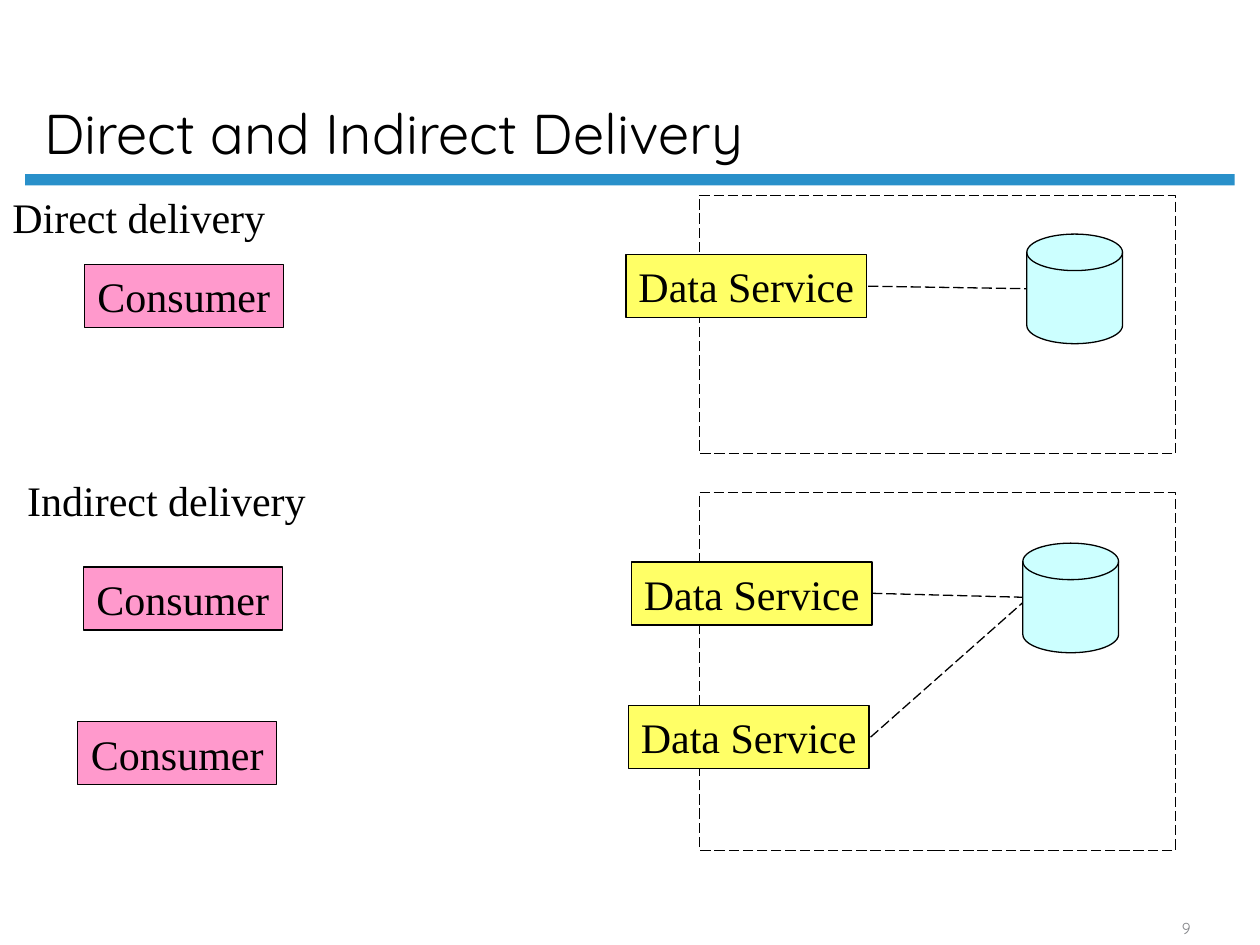
"""Build the slide that compares direct and indirect delivery."""
import pptx
import pptx.dml.color
import pptx.enum.dml
import pptx.enum.shapes
import pptx.enum.text
import pptx.oxml.ns
import pptx.util
from lxml import etree

Cm = pptx.util.Cm
Pt = pptx.util.Pt
MSO = pptx.enum.shapes.MSO_SHAPE
DASH = pptx.enum.dml.MSO_LINE.LONG_DASH
ANCHOR = pptx.enum.text.MSO_ANCHOR
ALIGN = pptx.enum.text.PP_ALIGN


def rgb(value):
    return pptx.dml.color.RGBColor.from_string(value)


def write(sp, text, font="Times New Roman", size=24, color="000000",
          align=ALIGN.LEFT, anchor=ANCHOR.TOP, wrap=False, spacing=None):
    tf = sp.text_frame
    tf.word_wrap = wrap
    tf.vertical_anchor = anchor
    p = tf.paragraphs[0]
    p.alignment = align
    p.line_spacing = spacing
    r = p.add_run()
    r.text = text
    r.font.name = font
    r.font.size = Pt(size)
    r.font.color.rgb = rgb(color)


prs = pptx.Presentation()
prs.slide_width = Cm(25.4)
prs.slide_height = Cm(19.05)
s = prs.slides.add_slide(prs.slide_layouts[6])

bar = s.shapes.add_shape(MSO.RECTANGLE, Cm(0.51), Cm(3.51), Cm(24.38), Cm(0.23))
bar.shadow.inherit = False
bar.fill.solid()
bar.fill.fore_color.rgb = rgb("2990CA")
bar.line.fill.background()

title = s.shapes.add_textbox(Cm(0.64), Cm(0.3), Cm(21.74), Cm(3.18))
write(title, "Direct and Indirect Delivery", font="Quicksand", size=32,
      anchor=ANCHOR.BOTTOM, wrap=True, spacing=0.9)

for top, height in ((9.93, 7.21), (3.94, 5.21)):
    sp = s.shapes.add_shape(MSO.RECTANGLE, Cm(14.1), Cm(top), Cm(9.6), Cm(height))
    sp.shadow.inherit = False
    sp.fill.background()
    sp.line.color.rgb = rgb("000000")
    sp.line.width = Pt(0.75)
    sp.line.dash_style = DASH

for text, x, y, width in (("Direct delivery", 0, 3.73, 5.61),
                          ("Indirect delivery", 0.3, 9.45, 6.12)):
    write(s.shapes.add_textbox(Cm(x), Cm(y), Cm(width), Cm(1.27)), text)

for x1, y1, x2, y2 in ((17.5, 5.77, 20.7, 5.82),
                       (17.58, 11.96, 20.62, 12.04),
                       (17.55, 14.86, 20.65, 12.12)):
    link = s.shapes.add_connector(pptx.enum.shapes.MSO_CONNECTOR.STRAIGHT,
                                  Cm(x1), Cm(y1), Cm(x2), Cm(y2))
    link.line.color.rgb = rgb("000000")
    link.line.width = Pt(0.75)
    link.line.dash_style = DASH
    etree.SubElement(link._element.spPr, pptx.oxml.ns.qn("a:effectLst"))

kinds = (
    ("Data Service", MSO.RECTANGLE, "FFFF66", 4.85, 1.27,
     ((12.62, 5.13), (12.73, 11.33), (12.67, 14.22))),
    ("Consumer", MSO.RECTANGLE, "FF99CC", 4.01, 1.27,
     ((1.7, 5.33), (1.68, 11.43), (1.57, 14.55))),
    ("", MSO.FLOWCHART_MAGNETIC_DISK, "CCFFFF", 1.93, 2.21,
     ((20.7, 4.72), (20.62, 10.95))),
)
for text, kind, color, width, height, places in kinds:
    for x, y in places:
        sp = s.shapes.add_shape(kind, Cm(x), Cm(y), Cm(width), Cm(height))
        sp.shadow.inherit = False
        sp.fill.solid()
        sp.fill.fore_color.rgb = rgb(color)
        sp.line.color.rgb = rgb("000000")
        sp.line.width = Pt(0.75)
        if text:
            write(sp, text, align=ALIGN.CENTER, anchor=ANCHOR.MIDDLE)

number = s.shapes.add_textbox(Cm(22.86), Cm(18.42), Cm(2.11), Cm(0.61))
write(number, "9", font="Quicksand", size=9, color="848589",
      align=ALIGN.CENTER, anchor=ANCHOR.BOTTOM, wrap=True)

prs.save("out.pptx")
